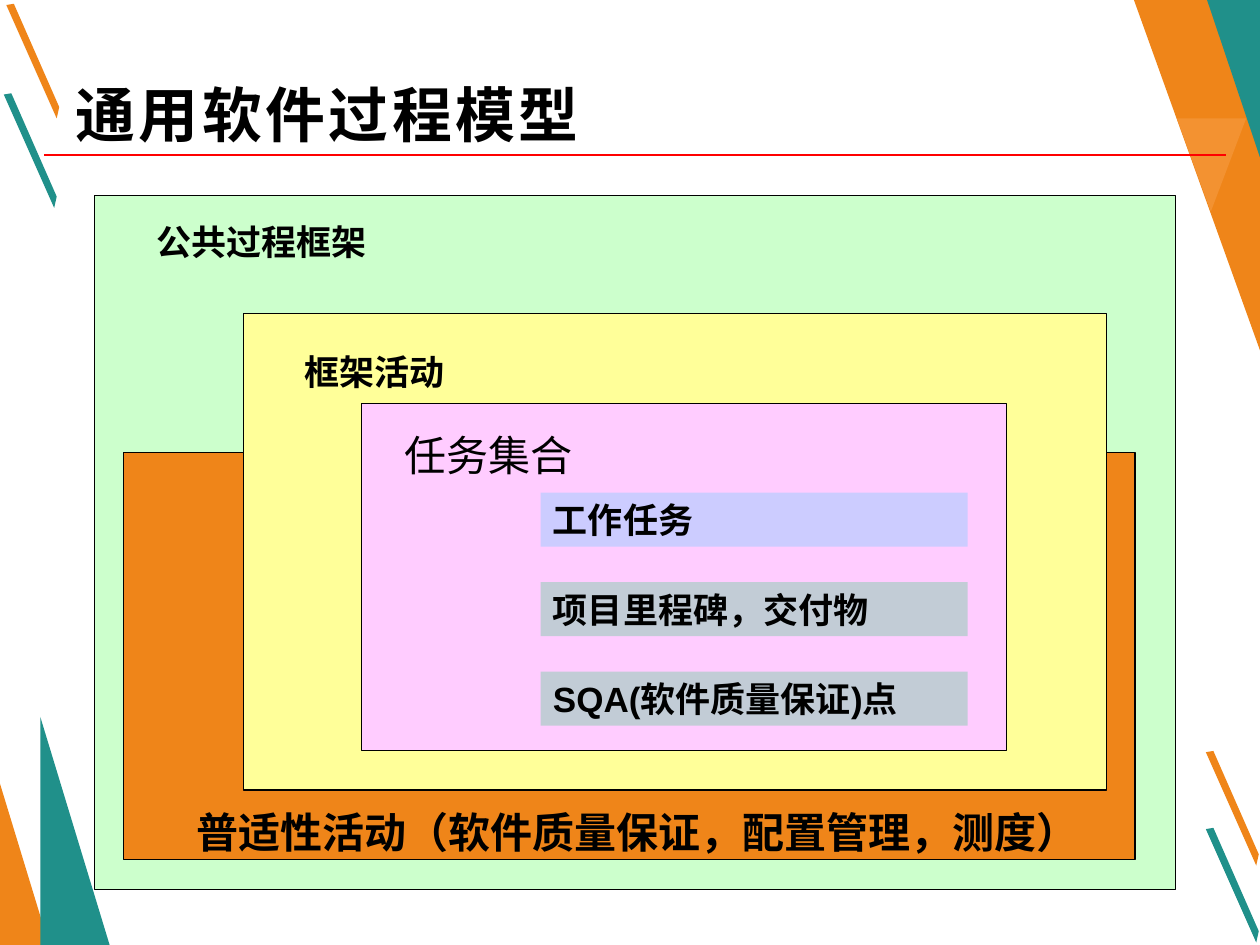
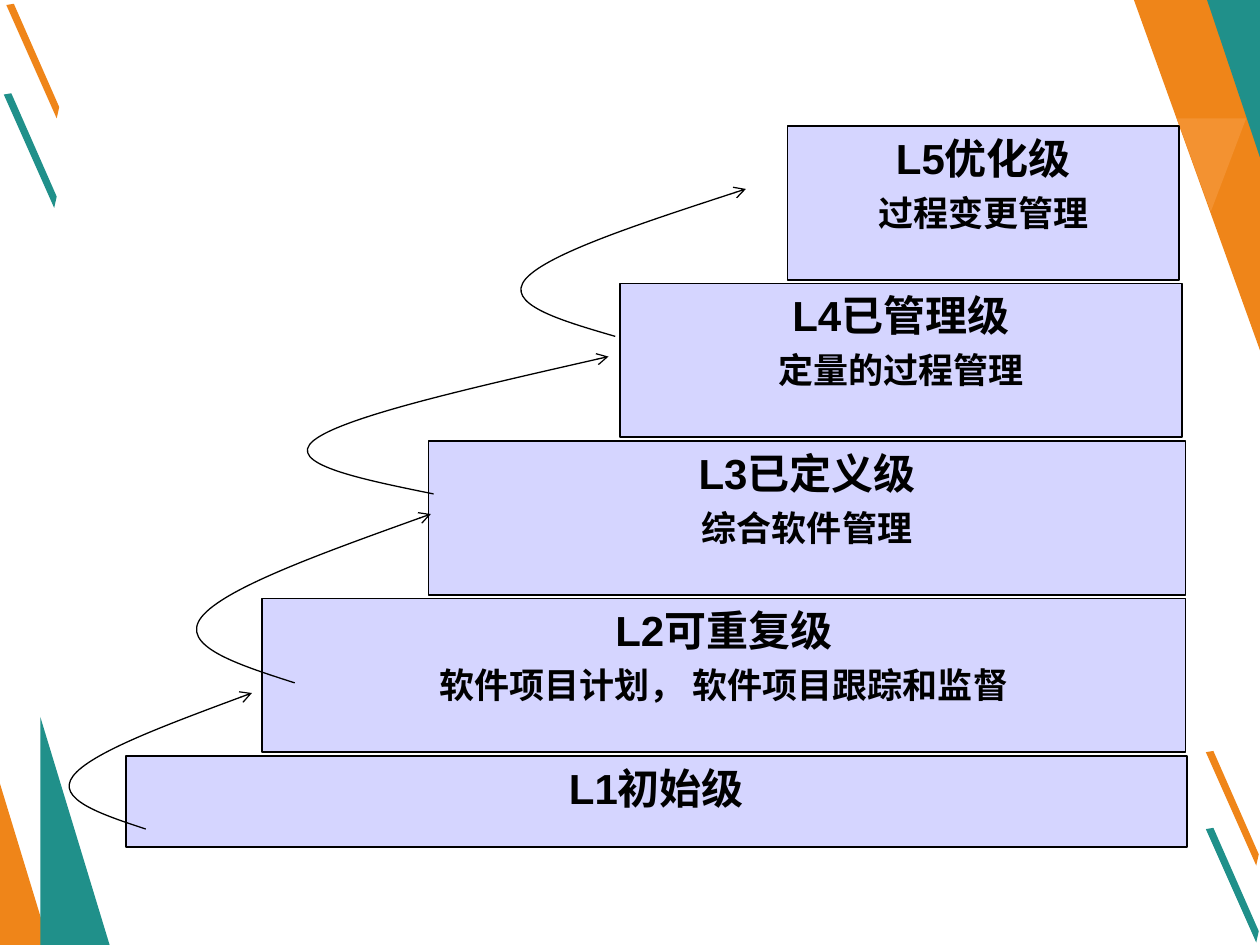
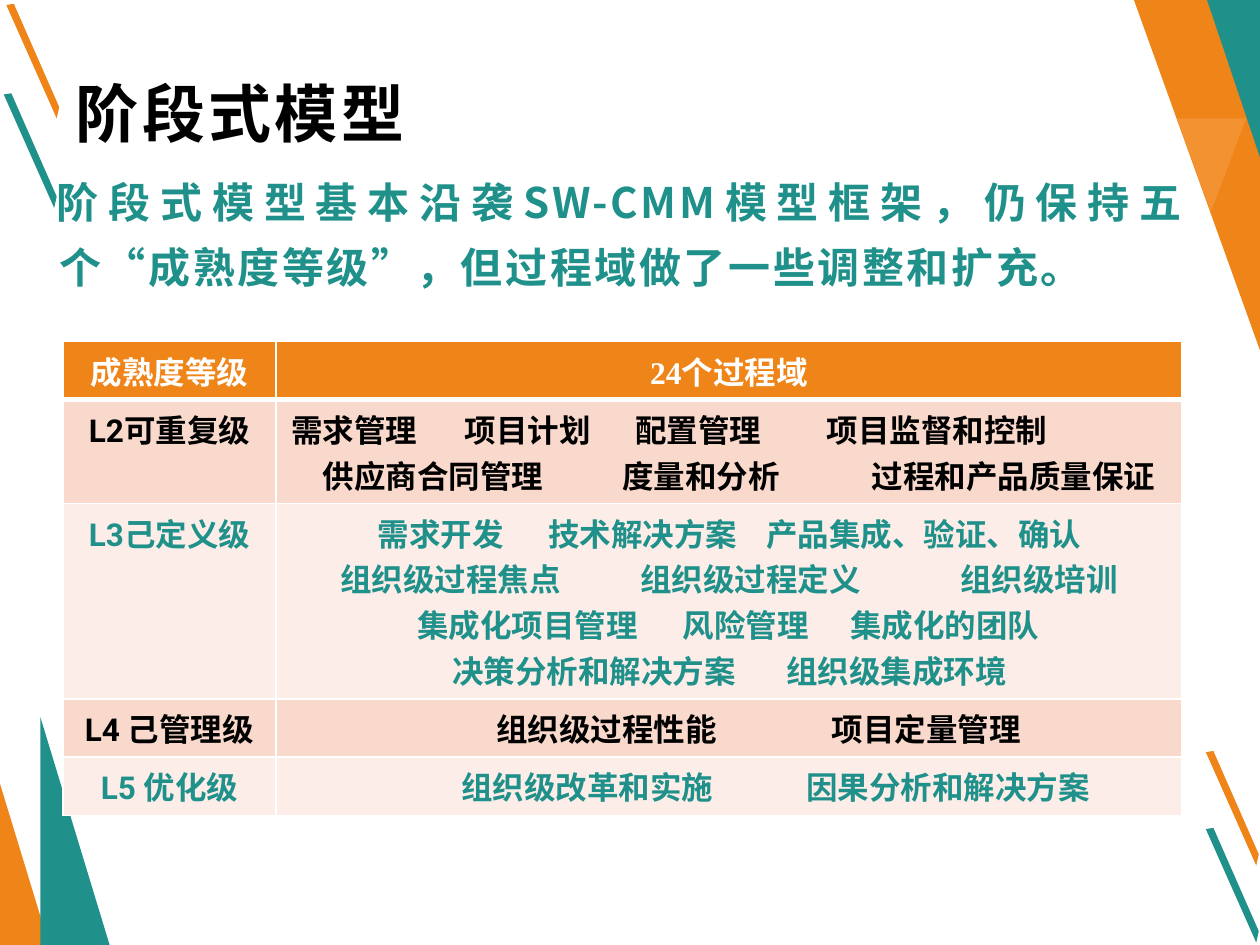
"""Build three slides on software process models and maturity levels."""
from dataclasses import dataclass

from lxml import etree
from pptx import Presentation
from pptx import util as u
from pptx.dml.color import RGBColor
from pptx.enum import lang, shapes, text
from pptx.oxml.ns import qn

ORANGE = RGBColor(0xEF, 0x85, 0x19)
LIGHT_ORANGE = RGBColor(0xF3, 0x92, 0x31)
TEAL = RGBColor(0x20, 0x90, 0x8A)
BLACK = RGBColor(0, 0, 0)
WHITE = RGBColor(0xFF, 0xFF, 0xFF)
RED = RGBColor(0xFF, 0, 0)
GREEN = RGBColor(0xCC, 0xFF, 0xCC)
YELLOW = RGBColor(0xFF, 0xFF, 0x99)
PINK = RGBColor(0xFF, 0xCC, 0xFF)
LAVENDER = RGBColor(0xCC, 0xCC, 0xFF)
GREY = RGBColor(0xC2, 0xCC, 0xD6)
STEP_FILL = RGBColor(0xD5, 0xD5, 0xFF)
ROW_FILLS = (RGBColor(0xF9, 0xD9, 0xCC), RGBColor(0xFC, 0xED, 0xE8))
ROW_INKS = (BLACK, TEAL)

ARIAL, TIMES, ROBOTO, HAN = "Arial", "Times New Roman", "Roboto", "Noto Sans CJK SC"
COLUMNS, ROWS = 100, 75
WIDTH, HEIGHT = u.Inches(10), u.Inches(7.5)
RECTANGLE = shapes.MSO_SHAPE.RECTANGLE
TRIANGLE = shapes.MSO_SHAPE.ISOSCELES_TRIANGLE
CENTER, LEFT = text.PP_ALIGN.CENTER, text.PP_ALIGN.LEFT
MIDDLE, TOP = text.MSO_ANCHOR.MIDDLE, text.MSO_ANCHOR.TOP


def across(columns):
    """Turn grid columns into a length."""
    return u.Emu(round(columns * WIDTH / COLUMNS))


def down(rows):
    """Turn grid rows into a length."""
    return u.Emu(round(rows * HEIGHT / ROWS))


@dataclass
class Box:
    """A region measured in grid columns and rows."""

    left: float
    top: float
    width: float
    height: float

    def inner(self, left, top, width, height):
        """Return a region offset from this one's corner."""
        return Box(self.left + left, self.top + top, width, height)

    def lengths(self):
        """Return left, top, width and height as lengths."""
        return (across(self.left), down(self.top),
                across(self.width), down(self.height))


SLIDE = Box(0, 0, COLUMNS, ROWS)


def paint(shape, fill=None, line=None, width=0.75):
    """Set the fill and outline of a shape and remove its shadow."""
    shape.shadow.inherit = False
    if fill is None:
        shape.fill.background()
    else:
        shape.fill.solid()
        shape.fill.fore_color.rgb = fill
    if line is None:
        shape.line.fill.background()
    else:
        shape.line.color.rgb = line
        shape.line.width = u.Pt(width)


def add_preset(slide, kind, box, fill, line=None, width=0.75):
    """Add a painted preset shape."""
    shape = slide.shapes.add_shape(kind, *box.lengths())
    paint(shape, fill, line, width)
    return shape


def add_outline(slide, points, closed=True):
    """Add a freeform through grid points."""
    corners = [(across(x), down(y)) for x, y in points]
    builder = slide.shapes.build_freeform(*corners[0], scale=1.0)
    builder.add_line_segments(corners[1:], close=closed)
    return builder.convert_to_shape()


def style_run(run, size, color=BLACK, font=ARIAL, bold=True, spacing=0):
    """Format one run for Latin and Chinese text."""
    run.font.size = u.Pt(size)
    run.font.bold = bold
    run.font.color.rgb = color
    run.font.name = font
    run.font.language_id = lang.MSO_LANGUAGE_ID.SIMPLIFIED_CHINESE
    properties = run.font._rPr
    etree.SubElement(properties, qn("a:ea")).set("typeface", HAN)
    if spacing:
        properties.set("spc", str(round(spacing * 100)))


def write_runs(paragraph, pieces, size, color=BLACK, **style):
    """Add runs given as pairs of words and font."""
    for words, font in pieces:
        run = paragraph.add_run()
        run.text = words
        style_run(run, size, color, font, **style)


def write_lines(shape, lines, align=LEFT, anchor=MIDDLE, bold=True):
    """Fill a shape with lines given as pairs of words and size."""
    frame = shape.text_frame
    frame.word_wrap = True
    frame.vertical_anchor = anchor
    frame.text = "\n".join(words for words, _ in lines)
    for index, (paragraph, (_, size)) in enumerate(zip(frame.paragraphs, lines)):
        paragraph.alignment = align
        if index:
            paragraph.space_before = u.Pt(5)
        style_run(paragraph.runs[0], size, bold=bold)


def place_placeholder(placeholder, box, anchor):
    """Move a placeholder and prepare its text frame."""
    (placeholder.left, placeholder.top,
     placeholder.width, placeholder.height) = box.lengths()
    frame = placeholder.text_frame
    frame.word_wrap = True
    frame.auto_size = text.MSO_AUTO_SIZE.NONE
    frame.vertical_anchor = anchor
    return frame.paragraphs[0]


def set_title(slide, words, box, size, font):
    """Write the slide title."""
    paragraph = place_placeholder(slide.shapes.title, box, MIDDLE)
    paragraph.alignment = LEFT
    write_runs(paragraph, [(words, font)], size, spacing=2)


def decorate_master(master, slide):
    """Draw the shared corner ornaments and move them to the master."""
    ornaments = []
    for left, top, color in ((95.7, 59.7, ORANGE), (0.3, 7.5, TEAL),
                             (0.5, 0.4, ORANGE), (95.7, 65.8, TEAL)):
        slash = ((0, 0), (0.6, -0.1), (4.2, 8.1), (4, 9))
        shape = add_outline(slide, [(left + x, top + y) for x, y in slash])
        paint(shape, color)
        ornaments.append(shape)
    for points, color in (
        (((90, 0), (100, 0), (100, 27.8)), ORANGE),
        (((95.8, 0), (100, 0), (100, 12.5)), TEAL),
        (((98.9, 9.4), (96.1, 16.8), (93.4, 9.4)), LIGHT_ORANGE),
    ):
        shape = add_outline(slide, points)
        paint(shape, color)
        ornaments.append(shape)
    for box, color in ((Box(0, 62.2, 3.9, 12.8), ORANGE),
                       (Box(3.2, 56.9, 5.5, 18.1), TEAL)):
        shape = add_preset(slide, TRIANGLE, box, color)
        shape.adjustments[0] = 0
        ornaments.append(shape)
    for index, shape in enumerate(ornaments):
        shape.element.xpath(".//p:cNvPr")[0].set("id", str(100 + index))
        master.shapes.element.insert(2 + index, shape.element)


def add_rule(slide, box):
    """Draw the red line along the top of a region."""
    left, top, width, _ = box.lengths()
    line = slide.shapes.add_connector(
        shapes.MSO_CONNECTOR.STRAIGHT, left, top, left + width, top)
    line.line.color.rgb = RED
    line.line.width = u.Pt(0.75)
    etree.SubElement(line.element.spPr, qn("a:effectLst"))


def add_process_model(slide, box):
    """Draw the nested process layers with their labels."""
    for layer, color in (
        (box, GREEN),
        (box.inner(2.3, 20.4, 80.3, 32.3), ORANGE),
        (box.inner(11.8, 9.4, 68.5, 37.8), YELLOW),
        (box.inner(21.2, 16.5, 51.2, 27.6), PINK),
    ):
        add_preset(slide, RECTANGLE, layer, color, BLACK)
    for label, words, size, bold in (
        (box.inner(3.9, 1.5, 25.2, 4.3), "公共过程框架", 20, True),
        (box.inner(7.1, 48, 72.7, 5), "普适性活动（软件质量保证，配置管理，测度）", 24, True),
        (box.inner(15.7, 11.8, 25.2, 4.3), "框架活动", 20, True),
        (box.inner(23.6, 18.1, 29.9, 5), "任务集合", 24, False),
    ):
        shape = slide.shapes.add_textbox(*label.lengths())
        write_lines(shape, [(words, size)], bold=bold)
    tasks = (("工作任务", LAVENDER), ("项目里程碑，交付物", GREY),
             ("SQA(软件质量保证)点", GREY))
    for index, (words, color) in enumerate(tasks):
        bar = box.inner(35.4, 23.6 + 7.1 * index, 33.9, 4.3)
        write_lines(add_preset(slide, RECTANGLE, bar, color), [(words, 20)])


def add_curved_arrow(slide, box):
    """Sweep an arrow from the bottom of a region to its top right."""
    sweep = ((0.46, 1), (0.23, 0.89), (0, 0.78), (0.09, 0.61),
             (0.18, 0.44), (0.59, 0.22), (1, 0))
    arrow = add_outline(slide, [(box.left + x * box.width, box.top + y * box.height)
                                for x, y in sweep], closed=False)
    paint(arrow, line=BLACK)
    outline = arrow.element.xpath(".//a:path")[0]
    segments = outline.findall(qn("a:lnTo"))
    for first in range(0, len(segments), 3):
        curve = etree.SubElement(outline, qn("a:cubicBezTo"))
        for segment in segments[first:first + 3]:
            curve.append(segment[0])
            outline.remove(segment)
    line = arrow.element.spPr.find(qn("a:ln"))
    etree.SubElement(line, qn("a:tailEnd")).set("type", "arrow")


def add_maturity_steps(slide, box):
    """Stack the five maturity levels as a staircase with arrows."""
    levels = (
        (52.5, 31.1, "L5优化级", "过程变更管理"),
        (39.2, 44.6, "L4已管理级", "定量的过程管理"),
        (24, 60.1, "L3已定义级", "综合软件管理"),
        (10.8, 73.3, "L2可重复级", "软件项目计划， 软件项目跟踪和监督"),
        (0, 84.2, "L1初始级", None),
    )
    for index, (left, width, name, focus) in enumerate(levels):
        lines = [(name, 24)] + ([(focus, 20)] if focus else [])
        step = box.inner(left, 12.5 * index, width, 12.2 if focus else 7.2)
        shape = add_preset(slide, RECTANGLE, step, STEP_FILL, BLACK, 1)
        write_lines(shape, lines, CENTER, TOP)
    for place in ((30, 5, 19.2, 11.7), (12.6, 18.3, 25.7, 10.9),
                  (4.2, 30.8, 20, 13.4), (-5.6, 45, 15.6, 10.8)):
        add_curved_arrow(slide, box.inner(*place))


def add_summary(slide, box):
    """Write the introduction in the body placeholder."""
    paragraph = place_placeholder(slide.placeholders[1], box, TOP)
    paragraph.alignment = text.PP_ALIGN.JUSTIFY
    paragraph.line_spacing = 1.3
    paragraph.space_before = u.Pt(0)
    paragraph.space_after = u.Pt(10)
    properties = paragraph._p.get_or_add_pPr()
    properties.set("marL", str(u.Inches(0.02)))
    properties.set("indent", str(-u.Inches(0.02)))
    etree.SubElement(properties, qn("a:buNone"))
    write_runs(paragraph, (
        ("阶段式模型基本沿袭", TIMES), ("SW-CMM", HAN),
        ("模型框架，仍保持五个", TIMES), ("“", HAN), ("成熟度等级", TIMES),
        ("”", HAN), ("，但过程域做了一些调整和扩充。", TIMES),
    ), 24, TEAL, spacing=1.5)


def style_cell(cell, fill, top=1, bottom=1):
    """Fill a cell and give it white borders."""
    cell.fill.solid()
    cell.fill.fore_color.rgb = fill
    properties = cell._tc.get_or_add_tcPr()
    for index, (side, width) in enumerate((("L", 1), ("R", 1), ("T", top), ("B", bottom))):
        border = etree.Element(qn(f"a:ln{side}"), w=str(u.Pt(width)))
        solid = etree.SubElement(border, qn("a:solidFill"))
        etree.SubElement(solid, qn("a:srgbClr")).set("val", str(WHITE))
        properties.insert(index, border)


def write_areas(cell, lines, color):
    """Write lines of process areas, each area at its own tab stop."""
    frame = cell.text_frame
    for index, areas in enumerate(lines):
        paragraph = frame.add_paragraph() if index else frame.paragraphs[0]
        paragraph.alignment = LEFT
        stops = etree.SubElement(paragraph._p.get_or_add_pPr(), qn("a:tabLst"))
        for position, _ in areas:
            etree.SubElement(stops, qn("a:tab"), pos=str(across(position)), algn="l")
        words = "".join(f"\t{area}" for _, area in areas)
        write_runs(paragraph, [(words, TIMES)], 18, color)


def add_area_table(slide, box):
    """Add the table of maturity levels and process areas."""
    levels = (
        ("L2", "可重复级", 8.2, (
            ((0.2, "需求管理"), (14, "项目计划"), (27.5, "配置管理"), (42.7, "项目监督和控制")),
            ((2.7, "供应商合同管理"), (26.5, "度量和分析"), (46.3, "过程和产品质量保证")))),
        ("L3", "己定义级", 15.5, (
            ((7.1, "需求开发"), (20.6, "技术解决方案"), (37.9, "产品集成、验证、确认")),
            ((4.1, "组织级过程焦点"), (27.9, "组织级过程定义"), (53.3, "组织级培训")),
            ((10.2, "集成化项目管理"), (31.3, "风险管理"), (44.6, "集成化的团队")),
            ((13, "决策分析和解决方案"), (39.5, "组织级集成环境")))),
        ("L4 ", "己管理级", 4.6, (
            ((16.5, "组织级过程性能"), (43.1, "项目定量管理")),)),
        ("L5 ", "优化级", 4.6, (
            ((13.7, "组织级改革和实施"), (41.1, "因果分析和解决方案")),)),
    )
    table = slide.shapes.add_table(len(levels) + 1, 2, *box.lengths()).table
    first_width = 16.9
    table.columns[0].width = across(first_width)
    table.columns[1].width = across(box.width - first_width)
    table.rows[0].height = down(4.6)
    for cell, words in zip(table.rows[0].cells, ("成熟度等级", "24个过程域")):
        style_cell(cell, ORANGE, bottom=3)
        paragraph = cell.text_frame.paragraphs[0]
        paragraph.alignment = CENTER
        write_runs(paragraph, [(words, TIMES)], 18, WHITE)
    for index, (code, name, height, lines) in enumerate(levels):
        row = table.rows[index + 1]
        row.height = down(height)
        level, areas = row.cells
        color = ROW_INKS[index % 2]
        for cell in (level, areas):
            style_cell(cell, ROW_FILLS[index % 2], top=1 if index else 3)
        paragraph = level.text_frame.paragraphs[0]
        paragraph.alignment = CENTER
        write_runs(paragraph, [(code, ROBOTO), (name, TIMES)], 18, color)
        write_areas(areas, lines, color)


def main():
    """Build and save the presentation."""
    presentation = Presentation()
    presentation.slide_width, presentation.slide_height = WIDTH, HEIGHT
    title_only, blank, title_body = (
        presentation.slide_layouts[index] for index in (5, 6, 1))

    model = presentation.slides.add_slide(title_only)
    decorate_master(presentation.slide_master, model)
    set_title(model, "通用软件过程模型", SLIDE.inner(5, 5, 44.5, 8.1), 34.2, HAN)
    add_process_model(model, SLIDE.inner(7.5, 15.5, 85.8, 55.1))
    add_rule(model, SLIDE.inner(3.5, 12.3, 93.8, 0))

    steps = presentation.slides.add_slide(blank)
    add_maturity_steps(steps, SLIDE.inner(10, 10, 84.2, 57.2))

    staged = presentation.slides.add_slide(title_body)
    set_title(staged, "阶段式模型", SLIDE.inner(5, 5, 90, 7.8), 36, TIMES)
    add_summary(staged, SLIDE.inner(3.5, 12.3, 91.5, 9))
    add_area_table(staged, SLIDE.inner(5, 27.1, 88.8, 37.5))

    presentation.save("out.pptx")


if __name__ == "__main__":
    main()
